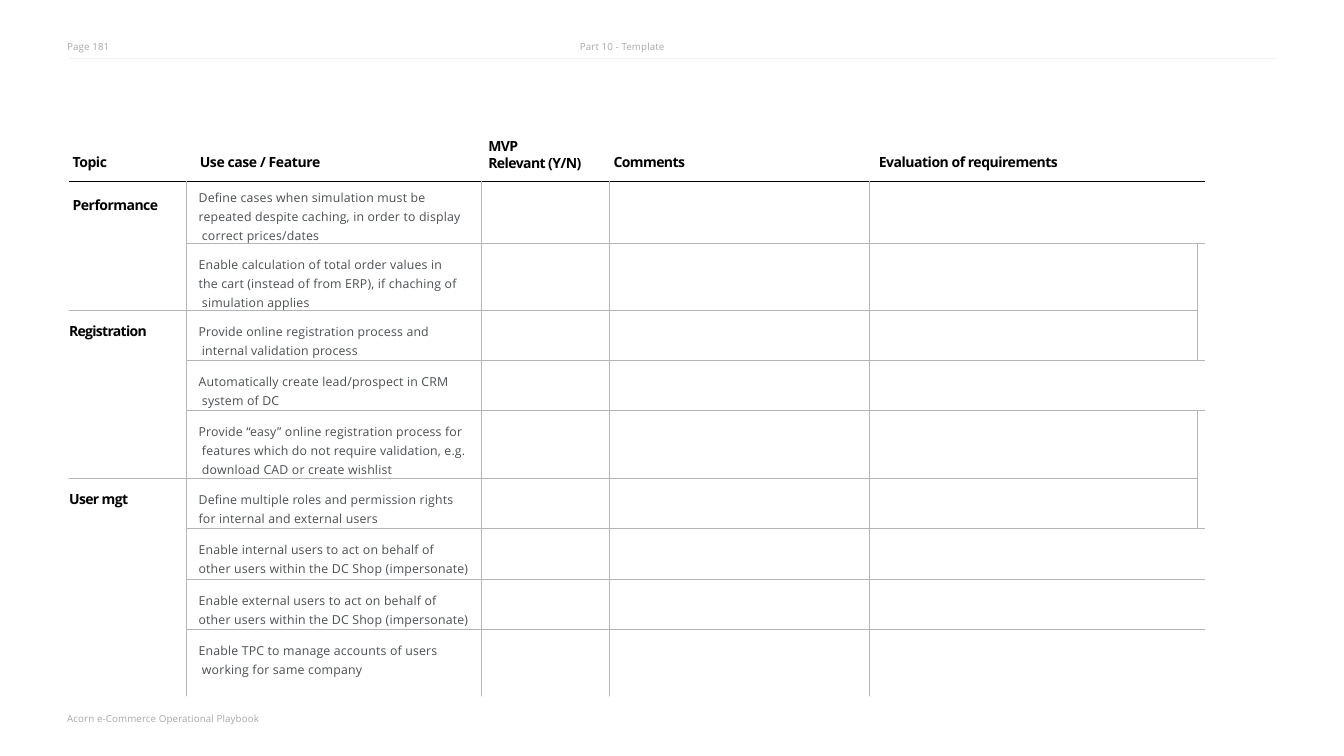
from lxml import etree
from pptx import Presentation
from pptx import util as u
from pptx.dml.color import RGBColor
from pptx.enum import shapes, text
from pptx.oxml import ns

COLORS = {"black": "000000", "body": "4B4F51", "muted": "A7A8AA",
          "grid": "B4B5B7", "rule": "F3F3F3"}
FONT = "Open Sans"
PAGE_WIDTH, PAGE_HEIGHT = 21.99, 12.37

# Table grid
LEFT, TOP = 1.13, 2.96
COLUMNS = [1.92, 4.83, 2.09, 4.26, 5.36, 0.13]
ROWS = [1.02, 1.1, 0.82, 0.82, 1.11, 0.82, 0.83, 0.82, 1.09]
TOPICS = [("Performance", 2, 0.06, 0.24, -0.6),
          ("Registration", 3, 0, 0.19, -0.8), ("User mgt", 4, 0, 0.18, -0.7)]
FEATURES = [
    "Define cases when simulation must be\vrepeated despite caching, "
    "in order to display\v correct prices/dates",
    "Enable calculation of total order values in\vthe cart (instead of "
    "from ERP), if chaching of\v simulation applies",
    "Provide online registration process and\v internal validation process",
    "Automatically create lead/prospect in CRM\v system of DC",
    "Provide “easy” online registration process for\v features which do not "
    "require validation, e.g.\v download CAD or create wishlist",
    "Define multiple roles and permission rights\vfor internal and external users",
    "Enable internal users to act on behalf of\v"
    "other users within the DC Shop (impersonate)",
    "Enable external users to act on behalf of\v"
    "other users within the DC Shop (impersonate)",
    "Enable TPC to manage accounts of users\v working for same company",
]
# Rows whose narrow last column is joined in pairs, downwards
EDGE_PAIRS = (1, 4)
# Small dots at the ends of grid lines
DOTS = [(left, 11.39) for left in (3.04, 7.88, 9.96, 14.23)]
DOTS += [(left, top) for top in (5.07, 7.83) for left in (1.1, 19.6)]
DOTS += [(3.02, 8.65)]


def write(para, words, size, color, spacing, bold=False):
    """Fill one paragraph; spacing is in points between letters."""
    para.text = words
    para.font.name = FONT
    para.font.size = u.Pt(size)
    para.font.bold = bold
    para.font.color.rgb = RGBColor.from_string(COLORS[color])
    tracking = str(round(spacing * 100))
    para._p.pPr.find(ns.qn("a:defRPr")).set("spc", tracking)
    for span in para.runs:
        span._r.get_or_add_rPr().set("spc", tracking)


def add_label(page, left, top, width, lines, size, color, spacing, bold=False):
    box = page.shapes.add_textbox(u.Inches(left), u.Inches(top),
                                  u.Inches(width), u.Inches(0.3 * len(lines)))
    frame = box.text_frame
    frame.word_wrap = True
    frame.margin_left = u.Inches(0.01)
    frame.margin_top = u.Inches(0.01)
    frame.margin_right = frame.margin_bottom = 0
    for index, words in enumerate(lines):
        para = frame.add_paragraph() if index else frame.paragraphs[0]
        write(para, words, size, color, spacing, bold)
        if len(lines) > 1:
            para.line_spacing = u.Pt(19.4)


def add_rule(page, left, top, width):
    rule = page.shapes.add_connector(shapes.MSO_CONNECTOR.STRAIGHT,
                                     u.Inches(left), u.Inches(top),
                                     u.Inches(left + width), u.Inches(top))
    rule.line.color.rgb = RGBColor.from_string(COLORS["rule"])
    rule.line.width = u.Pt(0.25)
    etree.SubElement(rule._element.spPr, ns.qn("a:effectLst"))


def add_dot(page, left, top):
    dot = page.shapes.add_shape(shapes.MSO_SHAPE.OVAL, u.Inches(left),
                                u.Inches(top), u.Inches(0.01), u.Inches(0.01))
    dot.shadow.inherit = False
    dot.fill.solid()
    dot.fill.fore_color.rgb = RGBColor.from_string(COLORS["grid"])
    dot.line.fill.background()


def set_borders(cell, colors):
    """Colours go left, right, top, bottom; None means no line."""
    properties = cell._tc.get_or_add_tcPr()
    for index, (side, color) in enumerate(zip("LRTB", colors)):
        line = etree.Element(ns.qn(f"a:ln{side}"), w=str(u.Pt(1)))
        if color:
            fill = etree.SubElement(line, ns.qn("a:solidFill"))
            etree.SubElement(fill, ns.qn("a:srgbClr"), val=COLORS[color])
        else:
            etree.SubElement(line, ns.qn("a:noFill"))
        properties.insert(index, line)


def fill_cell(cell, words, indent, inset, *style):
    cell.margin_left, cell.margin_top = u.Inches(indent), u.Inches(inset)
    para = cell.text_frame.paragraphs[0]
    write(para, words, *style)
    return para


def merge_cells(table):
    start = 0
    for _, count, *_ in TOPICS:
        table.cell(start, 0).merge(table.cell(start + count - 1, 0))
        start += count
    joined = [row + step for row in EDGE_PAIRS for step in (0, 1)]
    for row in range(len(ROWS)):
        if row in EDGE_PAIRS:
            table.cell(row, 5).merge(table.cell(row + 1, 5))
        elif row not in joined:
            table.cell(row, 4).merge(table.cell(row, 5))


def add_requirements(page):
    table = page.shapes.add_table(
        len(ROWS), len(COLUMNS), u.Inches(LEFT), u.Inches(TOP),
        u.Inches(sum(COLUMNS)), u.Inches(sum(ROWS))).table
    table.first_row = table.horz_banding = False
    for column, width in zip(table.columns, COLUMNS):
        column.width = u.Inches(width)
    for row, height in zip(table.rows, ROWS):
        row.height = u.Inches(height)
    merge_cells(table)

    # Inner grid lines, with a dark line on top and open outer sides
    for row in range(len(ROWS)):
        for column in range(len(COLUMNS)):
            cell = table.cell(row, column)
            cell.margin_left = cell.margin_right = 0
            cell.margin_top = cell.margin_bottom = 0
            cell.fill.background()
            if cell.is_spanned:
                continue
            last_row = row + cell.span_height == len(ROWS)
            last_column = column + cell.span_width == len(COLUMNS)
            set_borders(cell, ["grid" if column else None,
                               None if last_column else "grid",
                               "grid" if row else "black",
                               None if last_row else "grid"])

    # Topics and features
    start = 0
    for topic, count, indent, inset, spacing in TOPICS:
        fill_cell(table.cell(start, 0), topic, indent, inset,
                  16.5, "black", spacing, True)
        start += count
    for row, feature in enumerate(FEATURES):
        para = fill_cell(table.cell(row, 1), feature, 0.2,
                         0.17 if row else 0.1, 14.5, "body", 0.2)
        para.alignment = text.PP_ALIGN.LEFT
        para.line_spacing = 1.14


def main():
    deck = Presentation()
    deck.slide_width = u.Inches(PAGE_WIDTH)
    deck.slide_height = u.Inches(PAGE_HEIGHT)
    page = deck.slides.add_slide(deck.slide_layouts[6])

    # Page header and footer
    add_rule(page, 1.13, 0.95, 19.76)
    for left, top, width, words in [
            (1.09, 0.65, 1, "Page 181"),
            (9.48, 0.65, 2, "Part 10 - Template"),
            (1.09, 11.65, 4, "Acorn e-Commerce Operational Playbook")]:
        add_label(page, left, top, width, [words], 11.5, "muted", 0.1)

    # Column headings
    for left, top, width, spacing, lines in [
            (1.18, 2.51, 1, -0.5, ["Topic"]),
            (3.26, 2.51, 3, -0.45, ["Use case / Feature"]),
            (7.98, 2.25, 1.8, -0.65, ["MVP", "Relevant (Y/N)"]),
            (10.03, 2.51, 2, -0.65, ["Comments"]),
            (14.37, 2.51, 4, -0.55, ["Evaluation of requirements"])]:
        add_label(page, left, top, width, lines, 16.5, "black", spacing, True)

    add_requirements(page)
    for left, top in DOTS:
        add_dot(page, left, top)
    deck.save("out.pptx")


if __name__ == "__main__":
    main()
